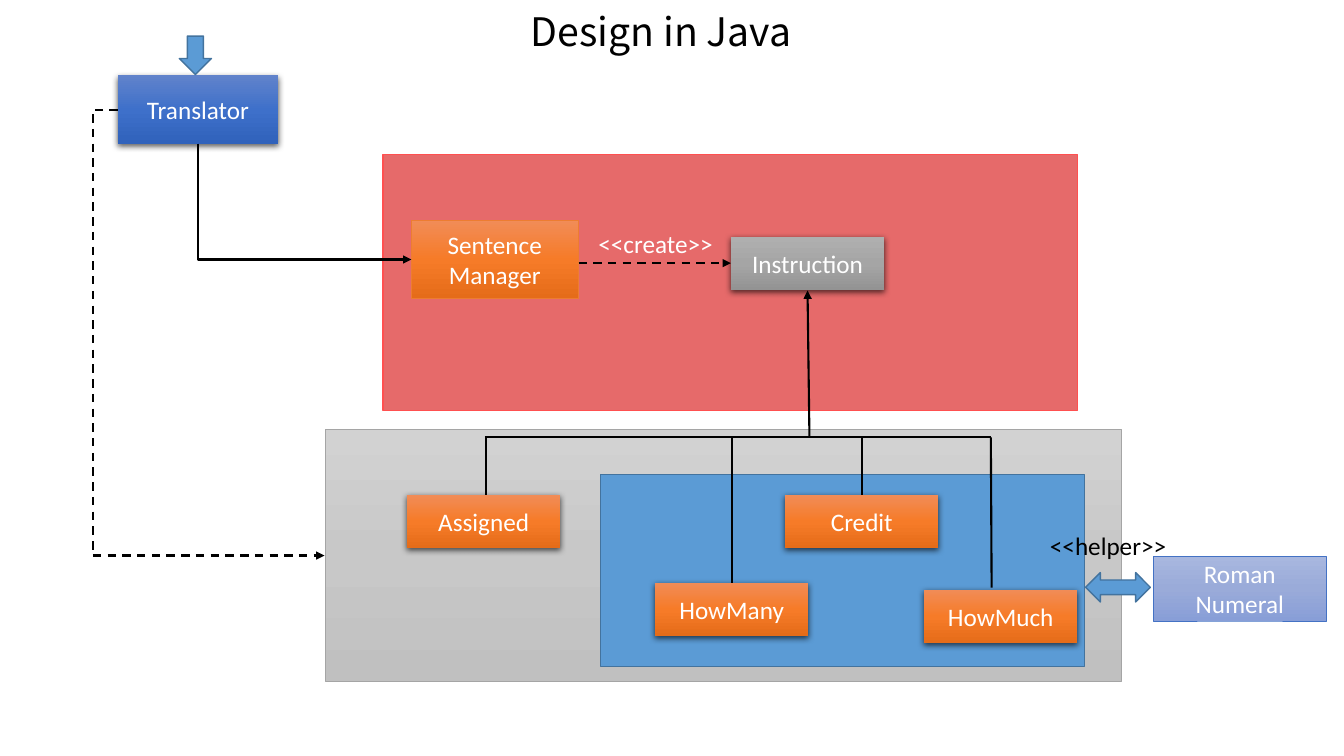
from copy import deepcopy
from dataclasses import dataclass

from lxml import etree
from pptx import Presentation
from pptx.dml.color import RGBColor
from pptx.enum.dml import MSO_LINE_DASH_STYLE
from pptx.enum.shapes import MSO_CONNECTOR_TYPE, MSO_SHAPE
from pptx.enum.text import MSO_ANCHOR, MSO_AUTO_SIZE, PP_ALIGN
from pptx.oxml.ns import qn
from pptx.util import Cm, Pt

RECTANGLE = MSO_SHAPE.RECTANGLE
DOWN_ARROW = MSO_SHAPE.DOWN_ARROW
DOUBLE_ARROW = MSO_SHAPE.LEFT_RIGHT_ARROW
STRAIGHT = MSO_CONNECTOR_TYPE.STRAIGHT
ELBOW = MSO_CONNECTOR_TYPE.ELBOW
DASH = MSO_LINE_DASH_STYLE.DASH
MIDDLE = MSO_ANCHOR.MIDDLE
CENTER = PP_ALIGN.CENTER
LEFT = PP_ALIGN.LEFT
FIT_SHAPE = MSO_AUTO_SIZE.SHAPE_TO_FIT_TEXT

COLORS = {
    "black": "000000", "white": "FFFFFF",
    "red": "E66A6A", "red edge": "FF5050",
    "blue": "5B9BD5", "blue edge": "43739E",
    "gray edge": "A5A5A5", "orange edge": "ED7D31", "violet edge": "4472C4",
}
GRADIENTS = {
    "light gray": ("D2D2D2", "C8C8C8", "C0C0C0"),
    "gray": ("AFAFAF", "A5A5A5", "939393"),
    "orange": ("F18C57", "F67B28", "E56C19"),
    "navy": ("6183CB", "3E70CA", "3062BB"),
    "violet": ("A8B7DF", "9AABD9", "889ED7"),
}
BODY_FONT = "Calibri"
TITLE_FONT = "Noto Sans CJK SC"
CLASS_SIZE = (3.86, 1.35)
LABEL_SIZE = (4.93, 1.02)
BUS_Y = 11.02


@dataclass
class Block:
    left: float
    top: float
    width: float
    height: float
    fill: str
    edge: str = ""
    edge_width: float = 1
    text: str = ""
    shadow: bool = False
    kind: int = RECTANGLE


@dataclass
class Link:
    start: tuple
    end: tuple
    arrow: bool = False
    dashed: bool = False
    kind: int = STRAIGHT
    preset: str = ""
    rotation: int = 0
    bend: int = 0


@dataclass
class Label:
    left: float
    top: float
    width: float
    height: float
    text: str
    color: str
    size: float = 18
    font: str = BODY_FONT


def set_values(target: object, values: dict) -> None:
    for name, value in values.items():
        setattr(target, name, value)


def color(name: str) -> RGBColor:
    return RGBColor.from_string(COLORS[name])


def write(frame, text: str, align: int, font: dict, color_name: str) -> None:
    frame.text = text
    for paragraph in frame.paragraphs:
        paragraph.alignment = align
        for run in paragraph.runs:
            set_values(run.font, font)
            run.font.color.rgb = color(color_name)


def fill_gradient(shape, hex_colors: tuple) -> None:
    shape.fill.gradient()
    shape.fill.gradient_angle = 270
    stop_list = shape._element.spPr.find(".//" + qn("a:gsLst"))
    stop_list.insert(1, deepcopy(stop_list[0]))
    for index, stop in enumerate(shape.fill.gradient_stops):
        set_values(stop, {"position": index / 2})
        stop.color.rgb = RGBColor.from_string(hex_colors[index])


def add_shadow(shape) -> None:
    effects = shape._element.spPr.find(qn("a:effectLst"))
    shadow = etree.SubElement(effects, qn("a:outerShdw"), blurRad=str(Pt(4.5)),
                              dist=str(Pt(1.5)), dir="5400000", algn="ctr",
                              rotWithShape="0")
    black = etree.SubElement(shadow, qn("a:srgbClr"), val=COLORS["black"])
    etree.SubElement(black, qn("a:alpha"), val="63000")


def draw_block(slide, block: Block) -> None:
    box = map(Cm, (block.left, block.top, block.width, block.height))
    shape = slide.shapes.add_shape(block.kind, *box)
    shape.shadow.inherit = False
    if block.fill in GRADIENTS:
        fill_gradient(shape, GRADIENTS[block.fill])
    else:
        shape.fill.solid()
        shape.fill.fore_color.rgb = color(block.fill)
    if block.edge:
        shape.line.color.rgb = color(block.edge)
        shape.line.width = Pt(block.edge_width)
    else:
        shape.line.fill.background()
    if block.shadow:
        add_shadow(shape)
    if block.text:
        set_values(shape.text_frame, {"vertical_anchor": MIDDLE, "word_wrap": True})
        write(shape.text_frame, block.text, CENTER,
              {"name": BODY_FONT, "size": Pt(18)}, "white")


def draw_link(slide, link: Link) -> None:
    connector = slide.shapes.add_connector(link.kind, *map(Cm, link.start + link.end))
    connector.line.color.rgb = color("black")
    connector.line.width = Pt(1.5)
    if link.dashed:
        connector.line.dash_style = DASH
    properties = connector._element.spPr
    if link.arrow:
        etree.SubElement(properties.find(qn("a:ln")), qn("a:tailEnd"), type="triangle")
    etree.SubElement(properties, qn("a:effectLst"))
    geometry = properties.find(qn("a:prstGeom"))
    if link.preset:
        geometry.set("prst", link.preset)
    if link.rotation:
        properties.find(qn("a:xfrm")).set("rot", str(link.rotation * 60000))
    if link.bend:
        etree.SubElement(geometry.find(qn("a:avLst")), qn("a:gd"),
                         name="adj1", fmla=f"val {link.bend}")


def draw_label(slide, label: Label) -> None:
    box = map(Cm, (label.left, label.top, label.width, label.height))
    frame = slide.shapes.add_textbox(*box).text_frame
    set_values(frame, {"word_wrap": True, "auto_size": FIT_SHAPE})
    write(frame, label.text, LEFT,
          {"name": label.font, "size": Pt(label.size)}, label.color)


# Packages, classes and block arrows
blocks = [
    Block(8.2, 10.82, 20.07, 6.35, "light gray", "gray edge", 0.5),
    Block(15.14, 11.96, 12.19, 4.83, "blue", "blue edge"),
    Block(9.65, 3.89, 17.5, 6.45, "red", "red edge"),
    Block(18.42, 5.97, *CLASS_SIZE, "gray", text="Instruction", shadow=True),
    *(Block(left, top, *CLASS_SIZE, "orange", text=name, shadow=True)
      for name, left, top in (("Assigned", 10.26, 12.47), ("Credit", 19.79, 12.47),
                              ("HowMuch", 23.29, 14.86), ("HowMany", 16.51, 14.68))),
    Block(2.97, 1.9, 4.04, 1.73, "navy", text="Translator", shadow=True),
    Block(29.06, 14.02, 4.37, 1.63, "violet", "violet edge", 0.5, "Roman\nNumeral"),
    Block(10.36, 5.56, 4.22, 1.96, "orange", "orange edge", 0.5, "Sentence\nManager"),
    Block(4.52, 0.91, 0.81, 0.97, "blue", "blue edge", kind=DOWN_ARROW),
    Block(27.36, 14.43, 1.63, 0.74, "blue", "blue edge", kind=DOUBLE_ARROW),
]

# Inheritance tree, then calls and dependencies
links = [
    Link((12.22, BUS_Y), (24.97, BUS_Y)),
    *(Link((x, bottom), (top_x, BUS_Y))
      for x, bottom, top_x in ((12.24, 12.47, 12.24), (18.44, 14.68, 18.44),
                               (21.72, 12.47, 21.72), (24.99, 14.81, 24.97))),
    Link((20.4, BUS_Y), (20.35, 7.32), arrow=True),
    Link((9.14, 2.39), (6.22, 7.77), arrow=True, kind=ELBOW,
         preset="bentConnector2", rotation=270),
    Link((14.58, 6.63), (18.42, 6.63), arrow=True, dashed=True),
    Link((2.97, 2.77), (8.18, 14), arrow=True, dashed=True, kind=ELBOW, bend=-12200),
]

# Title and stereotypes
labels = [
    Label(13.13, 0.05, 12.75, 1.45, "Design in Java", "black", 28, TITLE_FONT),
    Label(14.83, 5.64, *LABEL_SIZE, "<<create>>", "white"),
    Label(26.21, 13.23, *LABEL_SIZE, "<<helper>>", "black"),
]

presentation = Presentation()
set_values(presentation, {"slide_width": Cm(33.87), "slide_height": Cm(19.05)})
slide = presentation.slides.add_slide(presentation.slide_layouts[6])
for draw, items in ((draw_block, blocks), (draw_link, links), (draw_label, labels)):
    for item in items:
        draw(slide, item)
presentation.save("out.pptx")
